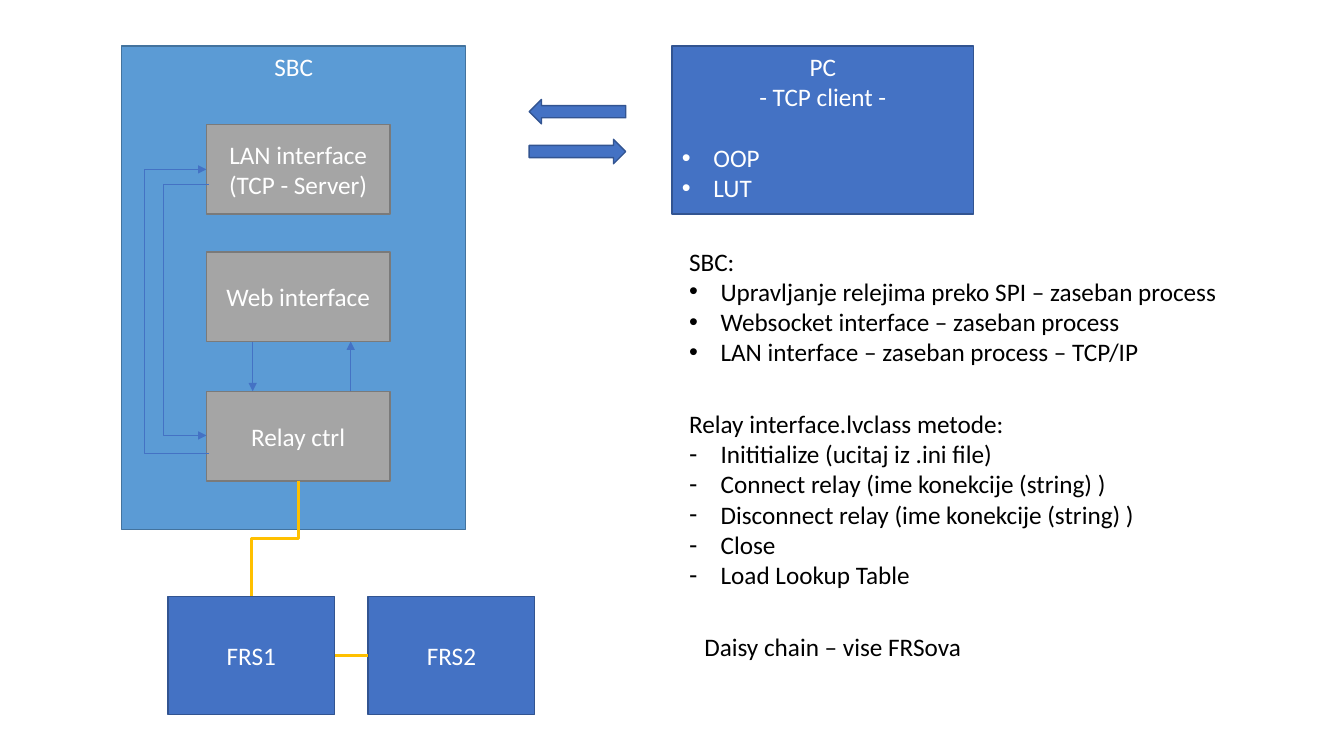
from lxml.etree import SubElement
from pptx import Presentation
from pptx.dml.color import RGBColor
from pptx.enum.shapes import MSO_CONNECTOR as Link, MSO_SHAPE as Preset
from pptx.enum.text import MSO_ANCHOR as Anchor, MSO_AUTO_SIZE as AutoSize, PP_ALIGN as Align
from pptx.oxml.ns import qn
from pptx.util import Pt

WHITE = RGBColor(0xFF, 0xFF, 0xFF)
BLACK = RGBColor(0, 0, 0)
SKY, SKY_EDGE = RGBColor(0x5B, 0x9B, 0xD5), RGBColor(0x43, 0x73, 0x9E)
GRAY, GRAY_EDGE = RGBColor(0xA5, 0xA5, 0xA5), RGBColor(0x7A, 0x7A, 0x7A)
BLUE, BLUE_EDGE = RGBColor(0x44, 0x72, 0xC4), RGBColor(0x32, 0x54, 0x91)
GOLD = RGBColor(0xFF, 0xC0, 0x00)

FONT = {"name": "Calibri", "size": Pt(18)}
TIGHT = {"space_before": Pt(0), "space_after": Pt(0)}
INDENT = 22.5
ROW = 22
OVERHANG = 1.5


def apply(target, values):
    """Set each named attribute of the target."""
    for name, value in values.items():
        setattr(target, name, value)


def write(para, text, color, align=Align.LEFT, bullet=None):
    """Write one paragraph, with a hanging bullet if one is given."""
    apply(para, {**TIGHT, "alignment": align})
    span = para.add_run()
    span.text = text
    apply(span.font, FONT)
    span.font.color.rgb = color
    props = para._p.get_or_add_pPr()
    indent = Pt(INDENT) if bullet else 0
    props.set("marL", str(indent))
    props.set("indent", str(-indent))
    if bullet:
        SubElement(props, qn("a:buFont"), typeface="Arial")
        SubElement(props, qn("a:buChar"), char=bullet)
    else:
        SubElement(props, qn("a:buNone"))


def next_para(frame):
    """Return the blank first paragraph, or a new one."""
    first = frame.paragraphs[0]
    return frame.add_paragraph() if first.runs else first


def add_block(page, box, fill, edge, text="", anchor=Anchor.MIDDLE, preset=Preset.RECTANGLE):
    """Draw a filled shape with an optional centred label."""
    block = page.shapes.add_shape(preset, *map(Pt, box))
    block.shadow.inherit = False
    block.fill.solid()
    block.fill.fore_color.rgb = fill
    block.line.color.rgb = edge
    block.line.width = Pt(1)
    apply(block.text_frame, {"word_wrap": True, "vertical_anchor": anchor})
    if text:
        write(block.text_frame.paragraphs[0], text, WHITE, Align.CENTER)
    return block


def add_link(page, start, end, color, width, kind=Link.STRAIGHT, arrow=False):
    """Draw a connector, with an arrowhead at its end if wanted."""
    link = page.shapes.add_connector(kind, *map(Pt, (*start, *end)))
    link.line.color.rgb = color
    link.line.width = Pt(width)
    if arrow:
        SubElement(link.line._get_or_add_ln(), qn("a:tailEnd"), type="triangle")
    SubElement(link._element.spPr, qn("a:effectLst"))
    return link


def add_loop(page, edge, start_y, end_y, reach):
    """Lead an arrow out to the left of an edge and back to it."""
    loop = add_link(page, (edge + OVERHANG, start_y), (edge, end_y), BLUE, 0.5, Link.ELBOW, True)
    guides = loop._element.spPr.find(qn("a:prstGeom")).get_or_add_avLst()
    turn = round((reach + OVERHANG) / OVERHANG * 100000)
    SubElement(guides, qn("a:gd"), name="adj1", fmla=f"val {turn}")


def add_board(page, box):
    """Draw the board panel and its processes; return the relay outlet."""
    left, top, _, _ = box
    add_block(page, box, SKY, SKY_EDGE, "SBC", Anchor.TOP)
    edge, width, height = left + 60.5, 131, 64
    web, relay = top + 147, top + 246.5
    processes = [("LAN interface (TCP - Server)", top + 56),
                 ("Web interface", web), ("Relay ctrl", relay)]
    for name, y in processes:
        add_block(page, (edge, y, width, height), GRAY, GRAY_EDGE, name)
    down, up = left + 93.5, left + 163.5
    add_link(page, (down, web + height), (down, relay), BLUE, 0.5, arrow=True)
    add_link(page, (up, relay), (up, web + height), BLUE, 0.5, arrow=True)
    add_loop(page, edge, top + 99, top + 278, 31)
    add_loop(page, edge, top + 291, top + 88, 44.5)
    return edge + width / 2, relay + height


def add_pc(page, box):
    """Draw the PC panel with its heading and bullets."""
    frame = add_block(page, box, BLUE, BLUE_EDGE, "PC", Anchor.TOP).text_frame
    write(next_para(frame), "- TCP client -", WHITE, Align.CENTER)
    for name in ("OOP", "LUT"):
        write(next_para(frame), name, WHITE, bullet="•")
    frame.paragraphs[2].space_before = Pt(ROW)


def add_exchange(page, box):
    """Draw the pair of opposite block arrows."""
    left, top, width, height = box
    thick = 17.5
    for y, turn in [(top, 180), (top + height - thick, 0)]:
        arrow = add_block(page, (left, y, width, thick), BLUE, BLUE_EDGE, preset=Preset.RIGHT_ARROW)
        arrow.rotation = turn


def add_relays(page, box, source):
    """Draw the FRS chain and the line that feeds it from the source."""
    left, top, width, height = box
    size, middle = 119, top + height / 2
    second = left + width - size
    for name, x in [("FRS1", left), ("FRS2", second)]:
        add_block(page, (x, top, size, height), BLUE, BLUE_EDGE, name)
    add_link(page, (left + size, middle), (second, middle), GOLD, 2.25)
    from_x, from_y = source
    to_x = left + size / 2
    center_x, center_y = (from_x + to_x) / 2, (from_y + top) / 2
    half_long, half_short = (top - from_y) / 2, (from_x - to_x) / 2
    feed = add_link(page, (center_x - half_long, center_y - half_short),
                    (center_x + half_long, center_y + half_short), GOLD, 2.25, Link.ELBOW)
    feed._element.spPr.find(qn("a:xfrm")).set("rot", str(90 * 60000))


def fill_notes(holder, box, heading, items=(), bullet=None):
    """Place a text holder and write a heading with its list."""
    apply(holder, dict(zip(("left", "top", "width", "height"), map(Pt, box))))
    frame = holder.text_frame
    apply(frame, {"word_wrap": True, "auto_size": AutoSize.NONE, "vertical_anchor": Anchor.TOP})
    write(next_para(frame), heading, BLACK)
    for item in items:
        write(next_para(frame), item, BLACK, bullet=bullet)


def build():
    """Build the slide and save the deck."""
    deck = Presentation()
    apply(deck, {"slide_width": Pt(960), "slide_height": Pt(540)})
    page = deck.slides.add_slide(deck.slide_layouts.get_by_name("Two Content"))
    title, board_notes, relay_notes = list(page.placeholders)[:3]
    title._element.getparent().remove(title._element)

    outlet = add_board(page, (87, 33, 245.5, 345.5))
    add_pc(page, (480, 33, 215.5, 120))
    add_exchange(page, (378, 71, 69, 46))
    add_relays(page, (120, 426, 262, 84.5), outlet)
    fill_notes(board_notes, (485, 172, 405, 116), "SBC:", [
        "Upravljanje relejima preko SPI – zaseban process",
        "Websocket interface – zaseban process",
        "LAN interface – zaseban process – TCP/IP"], "•")
    fill_notes(relay_notes, (485, 288, 345, 138), "Relay interface.lvclass metode:", [
        "Inititialize (ucitaj iz .ini file)",
        "Connect relay (ime konekcije (string) )",
        "Disconnect relay (ime konekcije (string) )",
        "Close",
        "Load Lookup Table"], "-")
    caption_box = (496, 447.5, 210, 29)
    caption = page.shapes.add_textbox(*map(Pt, caption_box))
    fill_notes(caption, caption_box, "Daisy chain – vise FRSova")
    deck.save("out.pptx")


build()
